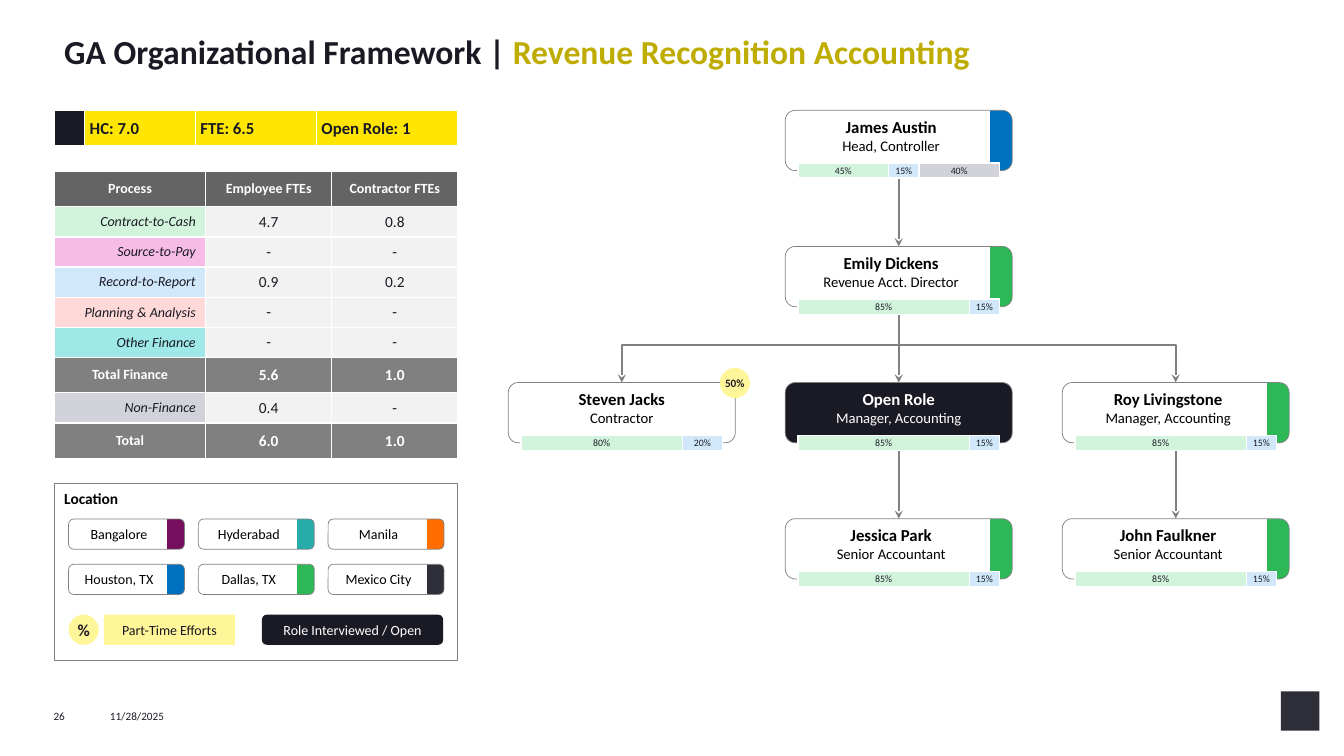
from dataclasses import dataclass

from lxml import etree
from pptx import Presentation
from pptx import util as u
from pptx.dml.color import RGBColor
from pptx.enum import shapes, text
from pptx.oxml.ns import qn

LEFT, CENTER, RIGHT = text.PP_ALIGN.LEFT, text.PP_ALIGN.CENTER, text.PP_ALIGN.RIGHT
TOP, MIDDLE = text.MSO_ANCHOR.TOP, text.MSO_ANCHOR.MIDDLE
RECTANGLE = shapes.MSO_SHAPE.RECTANGLE
ROUNDED = shapes.MSO_SHAPE.ROUNDED_RECTANGLE
OVAL = shapes.MSO_SHAPE.OVAL


@dataclass(frozen=True)
class Theme:
    """Colours and type sizes of the slide."""
    font: str = "Calibri"
    ink: str = "1A1A24"
    black: str = "000000"
    white: str = "FFFFFF"
    olive: str = "BFAC00"
    yellow: str = "FFE600"
    pale_yellow: str = "FFF599"
    header: str = "646464"
    gray: str = "808080"
    light: str = "F2F2F2"
    mint: str = "D2F4DC"
    sky: str = "D0E8FA"
    silver: str = "D2D2DA"
    pink: str = "F7BBE8"
    rose: str = "FFD9D7"
    aqua: str = "9EE9E8"
    blue: str = "0070C0"
    green: str = "2DB757"
    teal: str = "27ACAA"
    orange: str = "FF6D00"
    plum: str = "750E5C"
    charcoal: str = "2E2E38"
    title: float = 24
    large: float = 12
    medium: float = 11
    role: float = 10.5
    body: float = 10
    small: float = 8
    share: float = 7


class OrgSlide:
    """Draws the elements of an organization slide in one style."""

    def __init__(self, slide, theme):
        self.slide, self.theme = slide, theme

    def style(self, font, size, colour, bold=False, italic=False):
        """Apply type settings to a font."""
        font.name, font.size = self.theme.font, u.Pt(size)
        font.bold, font.italic = bold, italic
        font.color.rgb = RGBColor.from_string(colour)

    def fill_text(self, frame, lines, align=CENTER, anchor=MIDDLE, margins=(0, 0, 0, 0), wrap=True):
        """Fill a frame with lines of (text, size, colour, bold)."""
        frame.word_wrap, frame.vertical_anchor = wrap, anchor
        (frame.margin_left, frame.margin_top,
         frame.margin_right, frame.margin_bottom) = map(u.Cm, margins)
        for index, (words, *look) in enumerate(lines):
            paragraph = frame.add_paragraph() if index else frame.paragraphs[0]
            paragraph.text, paragraph.alignment = words, align
            self.style(paragraph.font, *look)

    def label(self, left, top, width, height, lines, **layout):
        """Add a text box."""
        box = self.slide.shapes.add_textbox(*map(u.Cm, (left, top, width, height)))
        self.fill_text(box.text_frame, lines, align=LEFT, anchor=TOP, **layout)
        return box

    def title(self, plain, accent):
        """Add the two-coloured title."""
        box = self.label(1.37, 0.64, 31.12, 1.52, [], margins=(0.25, 0.13, 0.25, 0))
        for words, colour in ((plain, self.theme.ink), (accent, self.theme.olive)):
            run = box.text_frame.paragraphs[0].add_run()
            run.text = words
            self.style(run.font, self.theme.title, colour, True)

    def shape(self, kind, box, fill=None, line=None, weight=0.5, lines=(), tab=None, **layout):
        """Add a shape; tab is (start, colour) of a coloured right end."""
        shape = self.slide.shapes.add_shape(kind, *map(u.Cm, box))
        shape.shadow.inherit = False
        if tab:
            shape.fill.gradient()
            shape.fill.gradient_angle = 0
            for stop, colour in zip(shape.fill.gradient_stops, (fill, tab[1])):
                stop.position, stop.color.rgb = tab[0], RGBColor.from_string(colour)
        elif fill:
            shape.fill.solid()
            shape.fill.fore_color.rgb = RGBColor.from_string(fill)
        else:
            shape.fill.background()
        if line:
            shape.line.color.rgb = RGBColor.from_string(line)
            shape.line.width = u.Pt(weight)
        else:
            shape.line.fill.background()
        self.fill_text(shape.text_frame, lines, **layout)
        return shape

    def card(self, left, top, name, role, location, opened=False):
        """Add a person card."""
        theme = self.theme
        colour = theme.white if opened else theme.black
        return self.shape(
            ROUNDED, (left, top, 5.72, 1.52), theme.ink if opened else theme.white, theme.gray,
            lines=[(name, theme.large, colour, True), (role, theme.role, colour)],
            tab=location and (0.9, location),
            margins=(0.13, 0.13, 0.51 if location else 0.13, 0.38))

    def shares(self, left, top, percents):
        """Add the effort bar below a card."""
        theme = self.theme
        for percent, fill in zip(percents, (theme.mint, theme.sky, theme.silver)):
            width = 5.08 * percent / 100
            self.shape(RECTANGLE, (left, top, width, 0.38), fill, theme.white, 1,
                       [(f"{percent}%", theme.share, theme.ink)], wrap=False)
            left += width

    def link(self, parent, child):
        """Join a card to the card it leads."""
        x, y = parent.left + parent.width // 2, parent.top + parent.height
        run, drop = child.left - parent.left, child.top - y
        add = self.slide.shapes.add_connector
        if run:
            left, top = x + (run - drop) // 2, y + (drop - abs(run)) // 2
            ends = (left + drop, left) if run > 0 else (left, left + drop)
            line = add(shapes.MSO_CONNECTOR.ELBOW, ends[0], top, ends[1], top + abs(run))
            line.element.spPr.xfrm.set("rot", str((270 if run > 0 else 90) * 60000))
        else:
            line = add(shapes.MSO_CONNECTOR.STRAIGHT, x, y, x, child.top)
            line.begin_connect(parent, 2)
            line.end_connect(child, 0)
        line.line.color.rgb = RGBColor.from_string(self.theme.gray)
        line.line.width = u.Pt(1.5)
        properties = line.element.spPr
        etree.SubElement(properties.find(qn("a:ln")), qn("a:tailEnd"), type="stealth")
        etree.SubElement(properties, qn("a:effectLst"))

    def table(self, left, top, widths, heights, rows):
        """Add a table from rows of (text, fill, align, margin, size, colour, bold, italic)."""
        frame = self.slide.shapes.add_table(
            len(heights), len(widths), *map(u.Cm, (left, top, sum(widths), sum(heights))))
        for column, width in zip(frame.table.columns, widths):
            column.width = u.Cm(width)
        for row, height, entries in zip(frame.table.rows, heights, rows):
            row.height = u.Cm(height)
            for cell, (words, fill, align, margin, *look) in zip(row.cells, entries):
                properties = cell._tc.get_or_add_tcPr()
                for side in ("lnL", "lnR", "lnT", "lnB"):
                    border = etree.SubElement(properties, qn(f"a:{side}"), w="12700")
                    solid = etree.SubElement(border, qn("a:solidFill"))
                    etree.SubElement(solid, qn("a:srgbClr"), val=self.theme.white)
                cell.fill.solid()
                cell.fill.fore_color.rgb = RGBColor.from_string(fill)
                cell.vertical_anchor = MIDDLE
                cell.margin_left = cell.margin_right = u.Cm(margin)
                cell.margin_top = cell.margin_bottom = u.Cm(0.13 if words else 0)
                paragraph = cell.text_frame.paragraphs[0]
                paragraph.text, paragraph.alignment = words, align
                self.style(paragraph.font, *look)


def main():
    """Build and save the slide."""
    presentation = Presentation()
    presentation.slide_width, presentation.slide_height = u.Cm(33.87), u.Cm(19.05)
    theme = Theme()
    page = OrgSlide(presentation.slides.add_slide(presentation.slide_layouts[6]), theme)
    page.title("GA Organizational Framework | ", "Revenue Recognition Accounting")
    page.label(2.77, 17.88, 3.56, 0.33, [("11/28/2025", theme.small, theme.ink)])
    page.label(1.35, 17.88, 1.42, 0.33, [("26", theme.small, theme.ink)])
    page.shape(RECTANGLE, (32.28, 17.42, 0.97, 0.99), theme.charcoal)

    page.table(1.37, 2.79, (0.76, 2.79, 3.05, 3.56), (0.89,), [[
        (words, theme.yellow if words else theme.ink, LEFT, 0.13, theme.large, theme.ink, True)
        for words in ("", "HC: 7.0", "FTE: 6.5", "Open Role: 1")]])

    processes = (
        ("Process", "Employee FTEs", "Contractor FTEs", theme.header),
        ("Contract-to-Cash", "4.7", "0.8", theme.mint),
        ("Source-to-Pay", "-", "-", theme.pink),
        ("Record-to-Report", "0.9", "0.2", theme.sky),
        ("Planning & Analysis", "-", "-", theme.rose),
        ("Other Finance", "-", "-", theme.aqua),
        ("Total Finance", "5.6", "1.0", theme.gray),
        ("Non-Finance", "0.4", "-", theme.silver),
        ("Total", "6.0", "1.0", theme.gray))
    rows, heights = [], []
    for name, *values, fill in processes:
        strong = fill in (theme.header, theme.gray)
        size = theme.body if fill == theme.header else theme.medium
        colour, margin = (theme.white, 0.13) if strong else (theme.ink, 0.25)
        first = (name, fill, CENTER if strong else RIGHT, margin,
                 theme.body, colour, strong, not strong)
        rows.append([first] + [(value, fill if strong else theme.light, CENTER, margin,
                                size, colour, strong) for value in values])
        heights.append(0.89 if strong else 0.76)
    page.table(1.37, 4.32, (3.81, 3.18, 3.18), heights, rows)

    page.shape(RECTANGLE, (1.37, 12.19, 10.16, 4.45), line=theme.gray, weight=0.75,
               lines=[("Location", theme.medium, theme.black, True)],
               align=LEFT, anchor=TOP, margins=(0.25, 0.13, 0.25, 0.13))
    locations = (("Bangalore", theme.plum), ("Hyderabad", theme.teal), ("Manila", theme.orange),
                 ("Houston, TX", theme.blue), ("Dallas, TX", theme.green),
                 ("Mexico City", theme.charcoal))
    for index, (city, colour) in enumerate(locations):
        row, column = divmod(index, 3)
        page.shape(ROUNDED, (1.73 + 3.27 * column, 13.08 + 1.14 * row, 2.92, 0.76),
                   theme.white, theme.gray, lines=[(city, theme.body, theme.black)],
                   tab=(0.85, colour), margins=(0.13, 0.13, 0.51, 0.13))
    for kind, left, width, fill, *line in (
            (OVAL, 1.73, 0.76, theme.pale_yellow, "%", theme.large, theme.ink, True),
            (RECTANGLE, 2.62, 3.3, theme.pale_yellow, "Part-Time Efforts", theme.body, theme.ink),
            (ROUNDED, 6.6, 4.57, theme.ink, "Role Interviewed / Open", theme.body, theme.white)):
        page.shape(kind, (left, 15.49, width, 0.76), fill, lines=[line])

    people = (
        ("James Austin", "Head, Controller", 1, 0, theme.blue, (45, 15, 40), None),
        ("Emily Dickens", "Revenue Acct. Director", 1, 1, theme.green, (85, 15), "James Austin"),
        ("Steven Jacks", "Contractor", 0, 2, None, (80, 20), "Emily Dickens"),
        ("Open Role", "Manager, Accounting", 1, 2, None, (85, 15), "Emily Dickens"),
        ("Roy Livingstone", "Manager, Accounting", 2, 2, theme.green, (85, 15), "Emily Dickens"),
        ("Jessica Park", "Senior Accountant", 1, 3, theme.green, (85, 15), "Open Role"),
        ("John Faulkner", "Senior Accountant", 2, 3, theme.green, (85, 15), "Roy Livingstone"))
    cards = {}
    for name, role, column, level, location, percents, leader in people:
        left, top = 12.81 + 6.98 * column, 2.78 + 3.43 * level
        cards[name] = page.card(left, top, name, role, location, name == "Open Role")
        if leader:
            page.link(cards[leader], cards[name])
    for name, role, column, level, location, percents, leader in people:
        page.shares(13.13 + 6.98 * column, 4.11 + 3.43 * level, percents)
    page.shape(OVAL, (18.14, 9.27, 0.76, 0.76), theme.pale_yellow,
               lines=[("50%", theme.small, theme.ink, True)])
    presentation.save("out.pptx")


if __name__ == "__main__":
    main()
